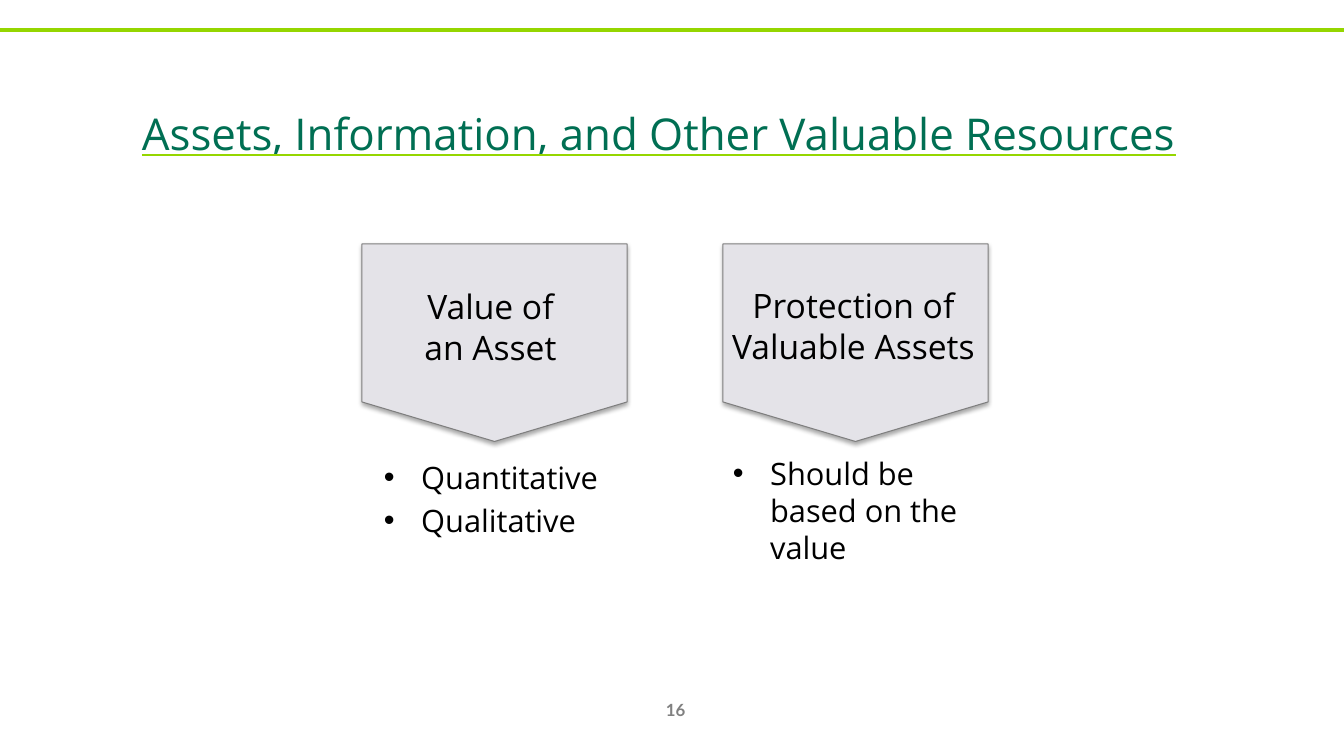
from dataclasses import dataclass
from lxml.etree import SubElement
from pptx import Presentation
from pptx.dml.color import RGBColor as RGB
from pptx.enum.shapes import MSO_CONNECTOR as CONNECTOR, MSO_SHAPE as SHAPE
from pptx.enum.text import MSO_ANCHOR as ANCHOR, PP_ALIGN as ALIGN
from pptx.oxml import parse_xml
from pptx.oxml.ns import nsdecls, qn
from pptx.util import Inches, Pt


@dataclass(frozen=True)
class Theme:
    lime: RGB = RGB(0x95, 0xD6, 0x00)
    green: RGB = RGB(0x00, 0x6F, 0x53)
    black: RGB = RGB(0, 0, 0)
    grey: RGB = RGB(0x80, 0x80, 0x80)
    outline: RGB = RGB(0x7F, 0x7F, 0x7F)
    panel: RGB = RGB(0xE4, 0xE3, 0xE8)
    body_font: str = "Open Sans"
    number_font: str = "Lato"
    title_size: Pt = Pt(54)
    heading_size: Pt = Pt(24)
    bullet_size: Pt = Pt(22)
    number_size: Pt = Pt(12)


theme = Theme()
deck = Presentation()
deck.slide_width, deck.slide_height = Inches(13.33), Inches(7.5)
slide = deck.slides.add_slide(deck.slide_layouts[6])


def add_text(box, lines, align=ALIGN.LEFT, anchor=ANCHOR.TOP, bullets=False, **font):
    """Write one paragraph per line in a text box and return its text frame."""
    frame = slide.shapes.add_textbox(*map(Inches, box)).text_frame
    frame.word_wrap = True
    frame.vertical_anchor = anchor
    for i, line in enumerate(lines):
        paragraph = frame.paragraphs[0] if i == 0 else frame.add_paragraph()
        paragraph.alignment = align
        if bullets:
            if i:
                paragraph.space_before = Pt(4.4)
            props = paragraph._p.get_or_add_pPr()
            props.set("marL", str(Inches(0.37)))
            props.set("indent", str(Inches(-0.37)))
            SubElement(props, qn("a:buFont"), typeface="Arial")
            SubElement(props, qn("a:buChar"), char="•")
        run = paragraph.add_run()
        run.text = line
        run.font.color.rgb = font.get("color", theme.black)
        for key, value in font.items():
            if key != "color":
                setattr(run.font, key, value)
    return frame


top_rule = slide.shapes.add_connector(
    CONNECTOR.STRAIGHT, 0, Inches(0.3), deck.slide_width, Inches(0.3))
top_rule.line.color.rgb = theme.lime
top_rule.line.width = Pt(3)
SubElement(top_rule._element.spPr, qn("a:effectLst"))

add_text((6.39, 6.84, 0.62, 0.4), ["16"], ALIGN.CENTER, ANCHOR.MIDDLE,
         name=theme.number_font, size=theme.number_size, bold=True, color=theme.grey)

title = add_text((1.31, 0.61, 12.03, 1.25),
                 ["Assets, Information, and Other Valuable Resources"],
                 anchor=ANCHOR.MIDDLE, size=theme.title_size,
                 underline=True, color=theme.green).paragraphs[0]
title.line_spacing = 1.1
title_font = title.runs[0].font
title_props = title.runs[0]._r.get_or_add_rPr()
title_props.set("baseline", "12000")
title_props.append(parse_xml(
    f'<a:uFill {nsdecls("a")}><a:solidFill><a:srgbClr val="{theme.lime}"/>'
    "</a:solidFill></a:uFill>"))
title_font.name = theme.body_font

# panel left, heading lines and box corner, bullet lines and box
columns = [
    (3.59, ["Value of", "an Asset"], (1.53, 2.79),
     ["Quantitative", "Qualitative"], (3.71, 4.5, 3.14, 0.65)),
    (7.17, ["Protection of", "Valuable Assets"], (5.13, 2.78),
     ["Should be based on the value"], (7.17, 4.46, 2.63, 0.65)),
]
for left, heading, heading_corner, points, points_box in columns:
    panel = slide.shapes.add_shape(
        SHAPE.FLOWCHART_OFFPAGE_CONNECTOR,
        Inches(left), Inches(2.42), Inches(2.63), Inches(1.96))
    panel.fill.solid()
    panel.fill.fore_color.rgb = theme.panel
    panel.line.color.rgb = theme.outline
    panel.line.width = Pt(0.75)
    panel._element.spPr.append(parse_xml(
        f'<a:effectLst {nsdecls("a")}><a:outerShdw blurRad="{Pt(3.1)}" '
        f'dist="{Pt(1.8)}" dir="5400000" rotWithShape="0"><a:srgbClr '
        f'val="{theme.black}"><a:alpha val="35000"/></a:srgbClr>'
        "</a:outerShdw></a:effectLst>"))
    add_text((*heading_corner, 6.67, 0.91), heading, ALIGN.CENTER,
             name=theme.body_font, size=theme.heading_size)
    add_text(points_box, points, bullets=True,
             name=theme.body_font, size=theme.bullet_size)

deck.save("out.pptx")
